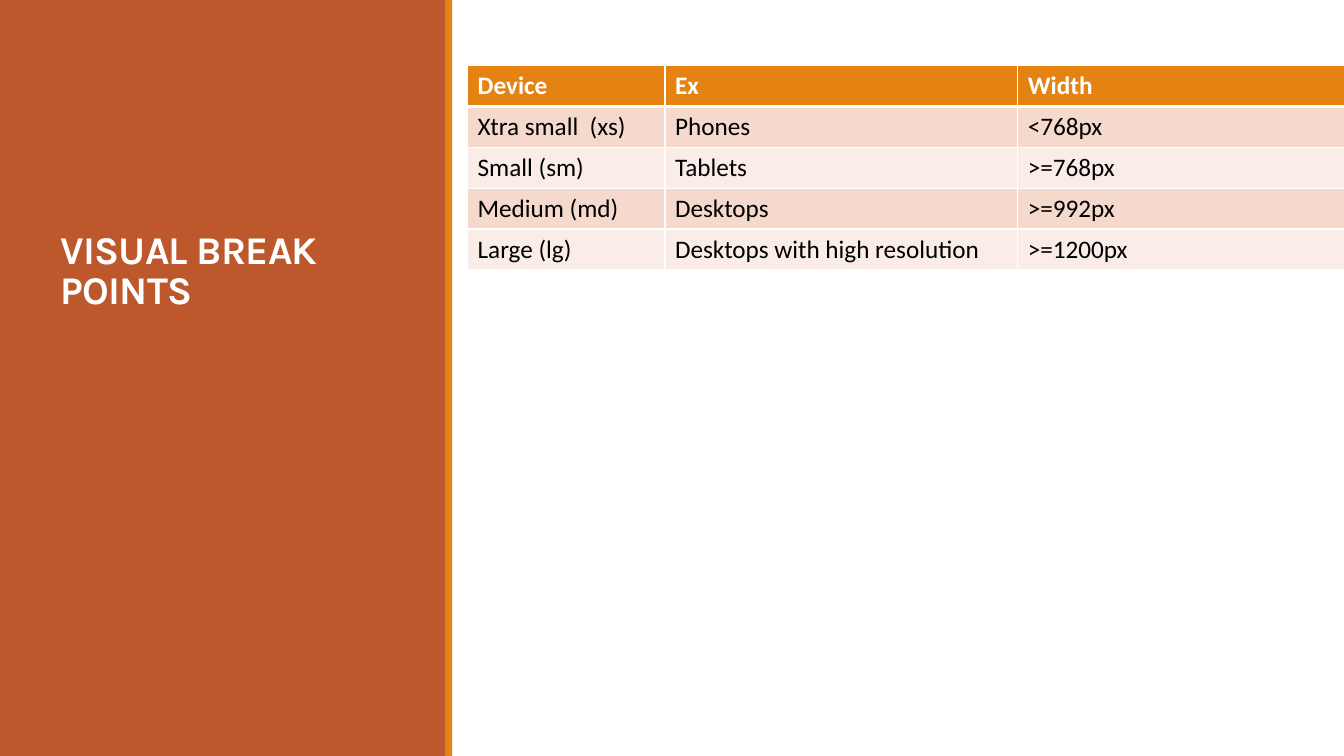
import lxml.etree
import pptx
import pptx.dml.color
import pptx.enum.shapes
import pptx.enum.text
import pptx.oxml.ns
import pptx.util

Pt = pptx.util.Pt
RGBColor = pptx.dml.color.RGBColor

RUST = RGBColor(0xBD, 0x58, 0x2C)
ORANGE = RGBColor(0xE4, 0x83, 0x12)
BAND_DARK = RGBColor(0xF5, 0xD9, 0xCC)
BAND_LIGHT = RGBColor(0xFA, 0xED, 0xE7)
WHITE = RGBColor(0xFF, 0xFF, 0xFF)
BLACK = RGBColor(0, 0, 0)

SLIDE_WIDTH, SLIDE_HEIGHT = 960, 540
COLUMN_WIDTHS = (141, 252, 247)
ROW_HEIGHT = 29.2
BREAKPOINTS = (
    ("Device", "Ex", "Width"),
    ("Xtra small  (xs)", "Phones", "<768px"),
    ("Small (sm)", "Tablets", ">=768px"),
    ("Medium (md)", "Desktops", ">=992px"),
    ("Large (lg)", "Desktops with high resolution", ">=1200px"),
)


class SlideBuilder:
    """Holds the text style and the current slide."""

    title_font, table_font = "Karla", "Calibri"
    title_size, table_size = 28, 18

    def __init__(self, slide):
        """Keep the slide that receives the elements."""
        self.slide = slide

    def add_run(self, paragraph, text, font, size, color, bold):
        """Add one formatted run and return it."""
        run = paragraph.add_run()
        run.text = text
        run.font.name = font
        run.font.size = Pt(size)
        run.font.color.rgb = color
        run.font.bold = bold
        return run

    def add_panel(self, left, width, color):
        """Add a full-height rectangle."""
        shape = self.slide.shapes.add_shape(
            pptx.enum.shapes.MSO_SHAPE.RECTANGLE,
            Pt(left), Pt(0), Pt(width), Pt(SLIDE_HEIGHT))
        shape.shadow.inherit = False
        shape.fill.solid()
        shape.fill.fore_color.rgb = color
        shape.line.fill.background()

    def set_title(self, text, left, top, width, height):
        """Format the title placeholder and bring it in front of the panels."""
        title = self.slide.shapes.title
        title.left, title.top = Pt(left), Pt(top)
        title.width, title.height = Pt(width), Pt(height)
        frame = title.text_frame
        frame.word_wrap = True
        frame.auto_size = pptx.enum.text.MSO_AUTO_SIZE.NONE
        frame.vertical_anchor = pptx.enum.text.MSO_ANCHOR.BOTTOM
        paragraph = frame.paragraphs[0]
        paragraph.alignment = pptx.enum.text.PP_ALIGN.LEFT
        paragraph.line_spacing = 0.85
        run = self.add_run(paragraph, text, self.title_font, self.title_size, WHITE, True)
        run.font._element.set("spc", "-50")
        self.slide.shapes._spTree.append(title._element)

    def add_borders(self, cell, top, bottom):
        """Draw white cell borders, one point wide at the sides."""
        properties = cell._tc.get_or_add_tcPr()
        for side, width in (("L", 1), ("R", 1), ("T", top), ("B", bottom)):
            line = lxml.etree.SubElement(
                properties, pptx.oxml.ns.qn("a:ln" + side), w=str(Pt(width)))
            fill = lxml.etree.SubElement(line, pptx.oxml.ns.qn("a:solidFill"))
            lxml.etree.SubElement(fill, pptx.oxml.ns.qn("a:srgbClr"), val=str(WHITE))

    def add_table(self, rows, left, top):
        """Add a banded table with a bold header row."""
        table = self.slide.shapes.add_table(
            len(rows), len(COLUMN_WIDTHS), Pt(left), Pt(top),
            Pt(sum(COLUMN_WIDTHS)), Pt(ROW_HEIGHT * len(rows))).table
        for column, width in zip(table.columns, COLUMN_WIDTHS):
            column.width = Pt(width)
        for row_index, values in enumerate(rows):
            table.rows[row_index].height = Pt(ROW_HEIGHT)
            header = row_index == 0
            band = BAND_DARK if row_index % 2 else BAND_LIGHT
            for column_index, text in enumerate(values):
                cell = table.cell(row_index, column_index)
                self.add_borders(cell, 3 if row_index == 1 else 1, 3 if header else 1)
                cell.fill.solid()
                cell.fill.fore_color.rgb = ORANGE if header else band
                self.add_run(cell.text_frame.paragraphs[0], text, self.table_font,
                             self.table_size, WHITE if header else BLACK, header)


def main():
    """Build and save the presentation."""
    presentation = pptx.Presentation()
    presentation.slide_width = Pt(SLIDE_WIDTH)
    presentation.slide_height = Pt(SLIDE_HEIGHT)
    title_only = presentation.slide_layouts[5]
    builder = SlideBuilder(presentation.slides.add_slide(title_only))
    builder.add_panel(0, 319, RUST)
    builder.add_panel(318, 5, ORANGE)
    builder.set_title("VISUAL BREAK POINTS", 36, 46.8, 252, 180)
    builder.add_table(BREAKPOINTS, 334, 46.8)
    presentation.save("out.pptx")


main()
